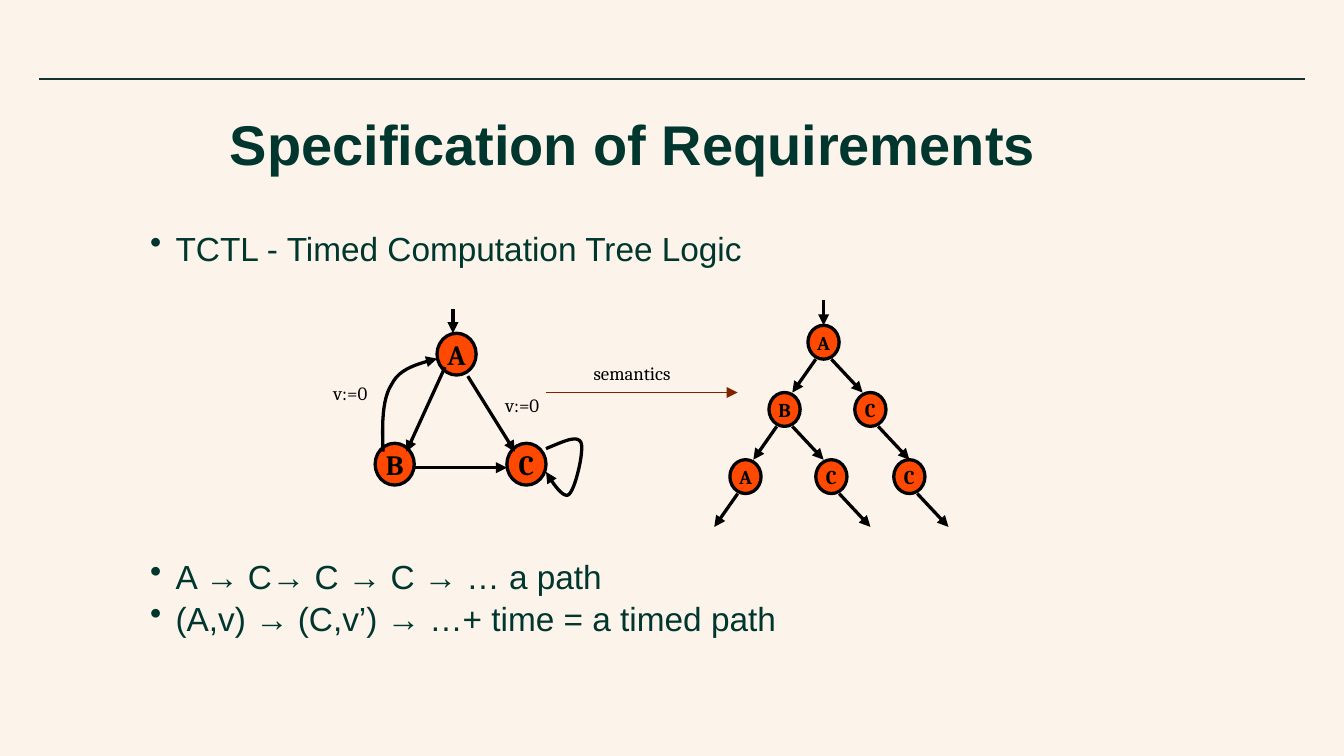
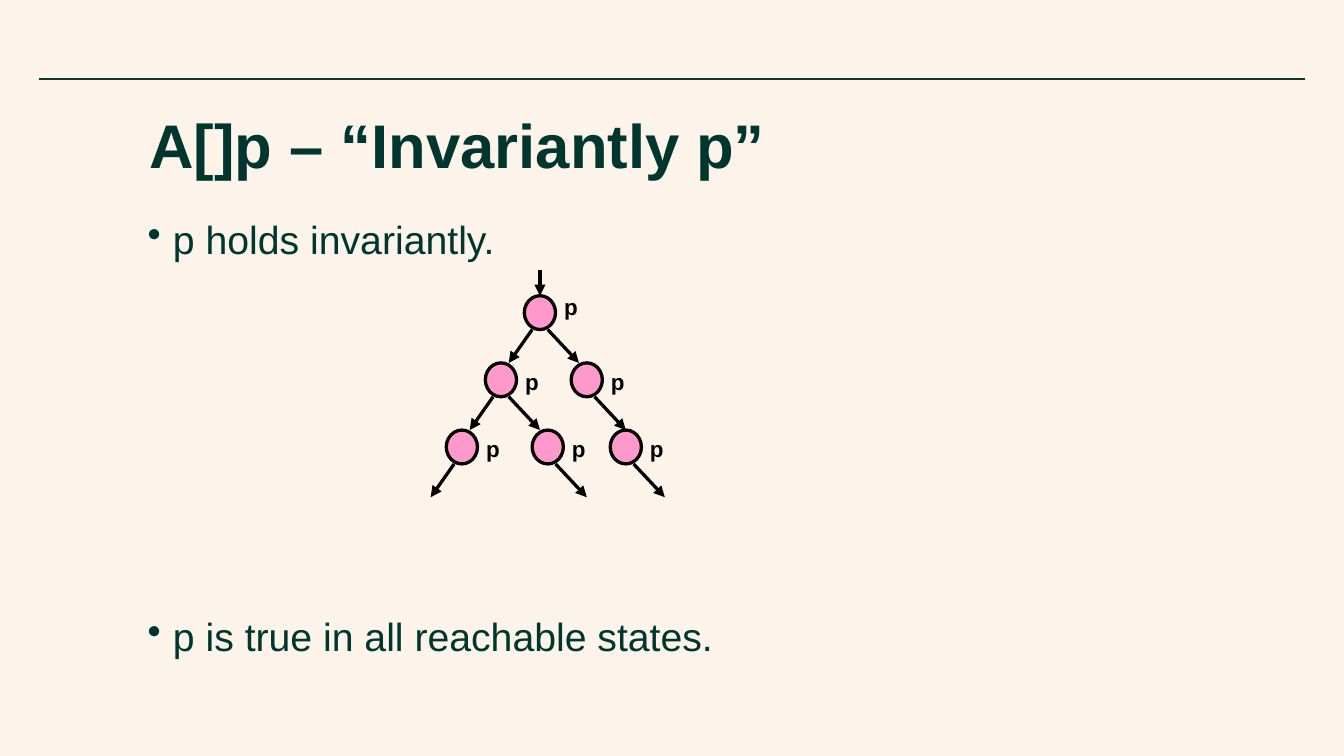
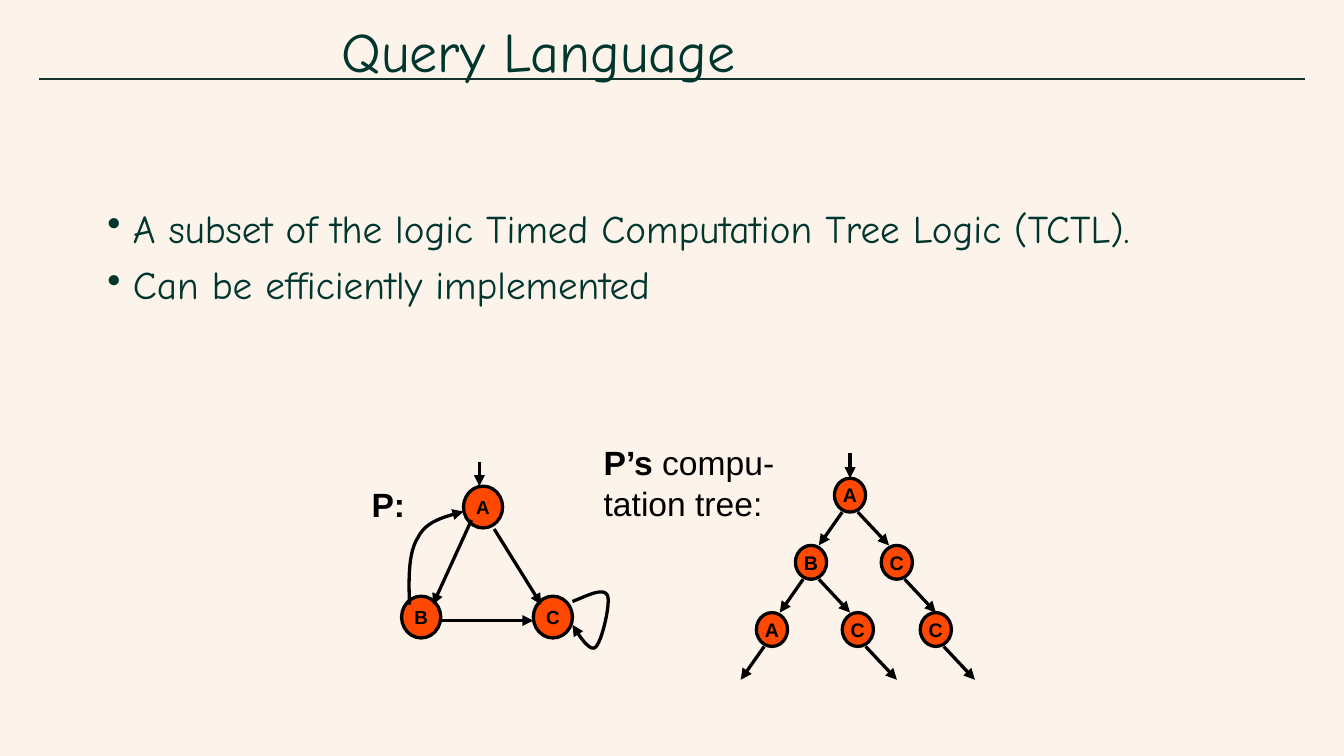
import pptx
import pptx.dml.color
import pptx.enum.shapes
import pptx.enum.text
import pptx.oxml
import pptx.oxml.ns
import pptx.util
from pptx.util import Cm

ALIGN = pptx.enum.text.PP_ALIGN
ANCHOR = pptx.enum.text.MSO_ANCHOR
qn = pptx.oxml.ns.qn

PAPER, RULE, INK, BLACK = "FCF4EB", "13342D", "00362D", "000000"
ORANGE, PINK, BROWN = "FF4800", "FF99CC", "802400"
SMALL_INSETS = (0.18, 0.1)

# Computation tree: label, column, row, branches to the left and right
TREE_W, TREE_H, TREE_ROW = 0.59, 0.64, 1.27
TREE_UNIT = TREE_W / 4
BRANCH_LEFT, BRANCH_RIGHT = (-1, -3), (1, 4)
TREE = [
    ("A", 0, 0, (BRANCH_LEFT, BRANCH_RIGHT)),
    ("B", -5, 1, (BRANCH_LEFT, BRANCH_RIGHT)),
    ("C", 6, 1, (BRANCH_RIGHT,)),
    ("A", -10, 2, (BRANCH_LEFT,)),
    ("C", 1, 2, (BRANCH_RIGHT,)),
    ("C", 11, 2, (BRANCH_RIGHT,)),
]

# Automaton, measured from the top left corner of state A
STATE_W, STATE_H = 0.74, 0.79
STATES = [("A", 0, 0), ("B", -1.17, 2.08), ("C", 1.32, 2.08)]
TRANSITIONS = [
    (0.15, 0.64, -0.58, 2.24),
    (0.58, 0.81, 1.47, 2.24),
    (-0.43, 2.54, 1.32, 2.54),
    (0.3, -0.46, 0.3, 0),
]
B_TO_A = [(-1.02, 2.24), (-1.04, 1.75), (-1.04, 1.24), (-0.86, 0.97),
          (-0.71, 0.66), (-0.36, 0.58), (0, 0.48)]
C_LOOP = [(2.06, 2.18), (2.36, 2.06), (2.64, 1.91), (2.72, 2.06),
          (2.79, 2.18), (2.62, 2.95), (2.49, 3.05),
          (2.39, 3.12), (2.21, 2.87), (2.06, 2.62)]


def rgb(value):
    return pptx.dml.color.RGBColor.from_string(value)


def write(p, text, size=18, font="Arial", color=BLACK, bold=False,
          align=ALIGN.LEFT, spacing=None, before=0, bullet=False):
    """Fill a paragraph; text is a string or a list of (string, bold) runs."""
    if bullet:
        pPr = p._p.get_or_add_pPr()
        pPr.set("marL", str(Cm(0.48)))
        pPr.set("indent", str(-Cm(0.48)))
        pPr.append(pptx.oxml.parse_xml(
            f'<a:buChar {pptx.oxml.ns.nsdecls("a")} char="•"/>'))
    p.alignment = align
    p.space_before = pptx.util.Pt(before)
    if spacing:
        p.line_spacing = spacing
    for part, heavy in [(text, bold)] if isinstance(text, str) else text:
        r = p.add_run()
        r.text = part
        r.font.name = font
        r.font.size = pptx.util.Pt(size)
        r.font.bold = heavy
        r.font.color.rgb = rgb(color)


def bezier(points, steps=12):
    """Points along a chain of cubic curves."""
    curve = [points[0]]
    for i in range(0, len(points) - 1, 3):
        for t in (n / steps for n in range(1, steps + 1)):
            weights = ((1 - t) ** 3, 3 * t * (1 - t) ** 2,
                       3 * t * t * (1 - t), t ** 3)
            curve.append(tuple(
                sum(w * q[axis] for w, q in zip(weights, points[i:i + 4]))
                for axis in (0, 1)))
    return curve


class Deck:
    def __init__(self):
        self.prs = pptx.Presentation()
        self.prs.slide_width, self.prs.slide_height = Cm(25.4), Cm(14.29)
        self.layout = self.prs.slide_layouts[5]
        fill = self.prs.slide_master.background.fill
        fill.solid()
        fill.fore_color.rgb = rgb(PAPER)
        self.slide = None

    def new_slide(self, title, box, **fmt):
        self.slide = self.prs.slides.add_slide(self.layout)
        if len(self.prs.slides) == 1:
            rule = self.line(0.74, 1.5, 24.66, 1.5, RULE, 1, arrow=False)
            self.layout.shapes.element.append(rule.element)
        sp = self.slide.shapes.title
        sp.left, sp.top, sp.width, sp.height = map(Cm, box)
        tf = sp.text_frame
        tf.auto_size = pptx.enum.text.MSO_AUTO_SIZE.NONE
        tf.vertical_anchor = ANCHOR.MIDDLE
        write(tf.paragraphs[0], title, color=INK, spacing=0.9, **fmt)

    def bullets(self, box, items, **fmt):
        """Items are (text, space before) pairs."""
        tf = self.slide.shapes.add_textbox(*map(Cm, box)).text_frame
        tf.word_wrap = True
        for i, (text, before) in enumerate(items):
            p = tf.add_paragraph() if i else tf.paragraphs[0]
            write(p, text, color=INK, before=before, bullet=True, **fmt)

    def label(self, text, x, y, w, h, wrap=False, insets=SMALL_INSETS, **fmt):
        sp = self.slide.shapes.add_textbox(Cm(x), Cm(y), Cm(w), Cm(h))
        self.frame(sp, wrap, insets)
        write(sp.text_frame.paragraphs[0], text, **fmt)

    def frame(self, sp, wrap, insets):
        tf = sp.text_frame
        tf.word_wrap = wrap
        tf.margin_left = tf.margin_right = Cm(insets[0])
        tf.margin_top = tf.margin_bottom = Cm(insets[1])

    def node(self, text, x, y, w, h, fill, **fmt):
        sp = self.slide.shapes.add_shape(
            pptx.enum.shapes.MSO_SHAPE.OVAL, Cm(x), Cm(y), Cm(w), Cm(h))
        sp.shadow.inherit = False
        sp.fill.solid()
        sp.fill.fore_color.rgb = rgb(fill)
        self.stroke(sp, arrow=False)
        if text:
            self.frame(sp, False, SMALL_INSETS)
            sp.text_frame.vertical_anchor = ANCHOR.MIDDLE
            write(sp.text_frame.paragraphs[0], text, bold=True,
                  align=ALIGN.CENTER, **fmt)

    def stroke(self, sp, color=BLACK, width=1.75, arrow=True):
        sp.line.color.rgb = rgb(color)
        sp.line.width = pptx.util.Pt(width)
        if arrow:
            sp.element.spPr.find(qn("a:ln")).append(pptx.oxml.parse_xml(
                f'<a:tailEnd {pptx.oxml.ns.nsdecls("a")} type="triangle"/>'))

    def line(self, x1, y1, x2, y2, color=BLACK, width=1.75, arrow=True):
        s = self.slide.shapes.add_connector(
            pptx.enum.shapes.MSO_CONNECTOR.STRAIGHT,
            Cm(x1), Cm(y1), Cm(x2), Cm(y2))
        self.stroke(s, color, width, arrow)
        s.element.spPr.append(pptx.oxml.parse_xml(
            f'<a:effectLst {pptx.oxml.ns.nsdecls("a")}/>'))
        return s

    def curve(self, points):
        start, *rest = [(Cm(x), Cm(y)) for x, y in bezier(points)]
        builder = self.slide.shapes.build_freeform(*start)
        builder.add_line_segments(rest, close=False)
        sp = builder.convert_to_shape()
        sp.shadow.inherit = False
        sp.fill.background()
        self.stroke(sp)

    def automaton(self, x, y, **fmt):
        for name, dx, dy in STATES:
            self.node(name, x + dx, y + dy, STATE_W, STATE_H, ORANGE, **fmt)
        for x1, y1, x2, y2 in TRANSITIONS:
            self.line(x + x1, y + y1, x + x2, y + y2)
        for points in (B_TO_A, C_LOOP):
            self.curve([(x + dx, y + dy) for dx, dy in points])

    def tree(self, x, y, fill=ORANGE, side_label=None, **fmt):
        """Computation tree whose root has its top left corner at x, y."""
        middle = x + TREE_W / 2
        self.line(middle, y - 0.48, middle, y)
        for name, column, row, branches in TREE:
            left, top = x + column * TREE_UNIT, y + row * TREE_ROW
            self.node(None if side_label else name, left, top,
                      TREE_W, TREE_H, fill, **fmt)
            for offset, run in branches:
                start = left + TREE_W / 2 + offset * TREE_UNIT
                self.line(start, top + TREE_H,
                          start + run * TREE_UNIT, top + TREE_ROW)
            if side_label:
                self.label(side_label, left + 0.56, top if row else top - 0.15,
                           0.64, 0.71, size=12, bold=True, align=ALIGN.CENTER)


def requirements(deck):
    deck.new_slide("Specification of Requirements", (4.09, 1.6, 17.15, 2.39),
                   size=30, bold=True)
    deck.bullets((2.59, 4.39, 20.24, 8.28), [
        ("TCTL - Timed Computation Tree Logic", 0),
        ("A → C→ C → C → … a path", 161),
        ("(A,v) → (C,v’) → …+ time = a timed path", 7.5),
    ], size=17.9, spacing=0.7)
    deck.automaton(8.26, 6.3, size=15, font="Cambria")
    deck.tree(15.27, 6.15, size=10.5, font="Cambria")
    deck.line(10.31, 7.42, 13.94, 7.42, BROWN, 0.5)
    for text, x, y, w in [("semantics", 10.97, 6.71, 2.06),
                          ("v:=0", 6.05, 7.09, 1.19),
                          ("v:=0", 9.3, 7.32, 1.19)]:
        deck.label(text, x, y, w, 0.69, insets=(0.25, 0.13),
                   size=10.1, font="Cambria")


def invariantly(deck):
    deck.new_slide("A[]p – “Invariantly p”", (2.57, 1.57, 20.19, 2.46),
                   size=33, bold=True)
    deck.bullets((2.54, 4.04, 20.24, 9.12), [
        ("p holds invariantly.", 0),
        ("p is true in all reachable states.", 190),
    ], size=21, spacing=0.9)
    deck.tree(9.91, 5.59, PINK, side_label="p")


def query_language(deck):
    deck.new_slide("Query Language", (6.2, -0.64, 14.33, 3.33),
                   size=30, font="Comic Neue")
    deck.bullets((1.78, 3.84, 20.24, 4.4), [
        ("A subset of the logic Timed Computation Tree Logic (TCTL).", 0),
        ("Can be efficiently implemented", 7.5),
    ], size=21, font="Comic Neue", spacing=0.9)
    deck.automaton(8.76, 9.19, size=10.1)
    deck.label("P:", 6.83, 9.04, 1.02, 0.97, bold=True, align=ALIGN.CENTER)
    deck.label([("P’s ", True), ("compu-tation tree:", False)],
               11.23, 8.26, 3.66, 2.49, wrap=True)
    deck.tree(15.77, 9.04, size=10.5)


def main():
    deck = Deck()
    requirements(deck)
    invariantly(deck)
    query_language(deck)
    deck.prs.save("out.pptx")


if __name__ == "__main__":
    main()
